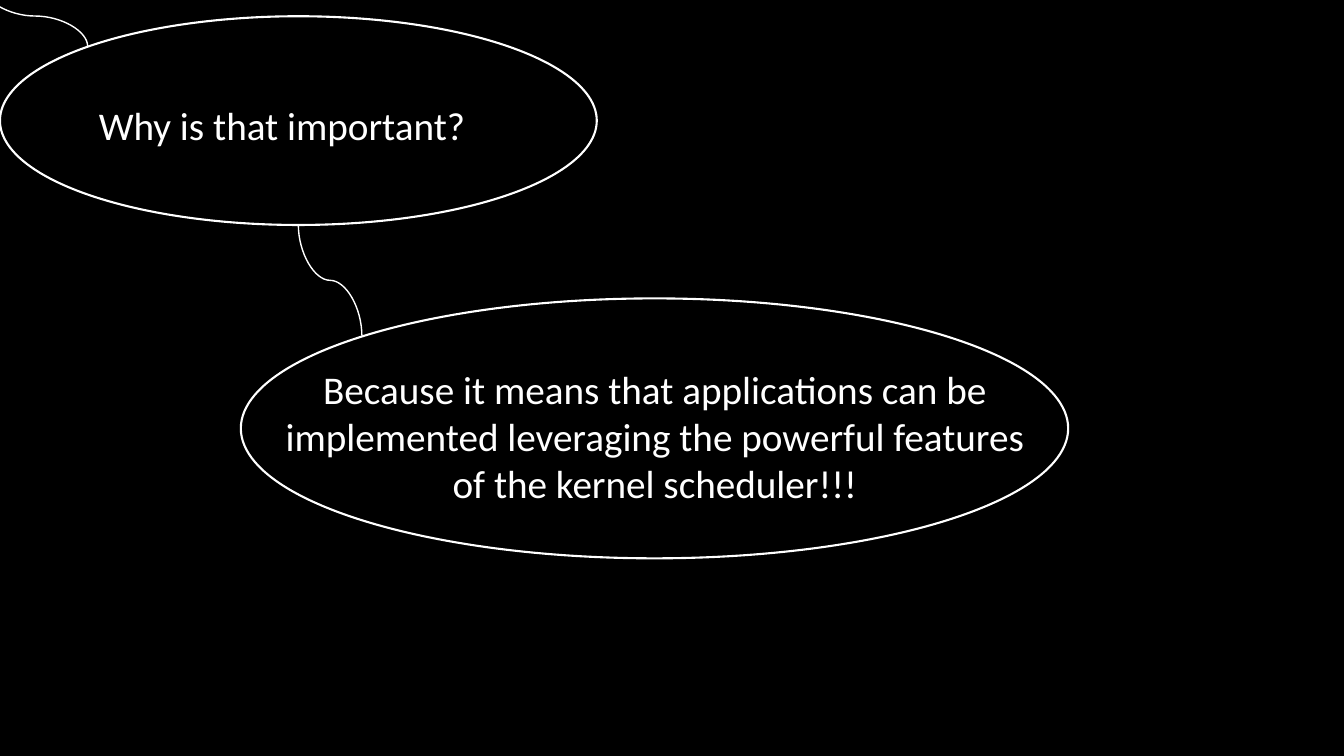
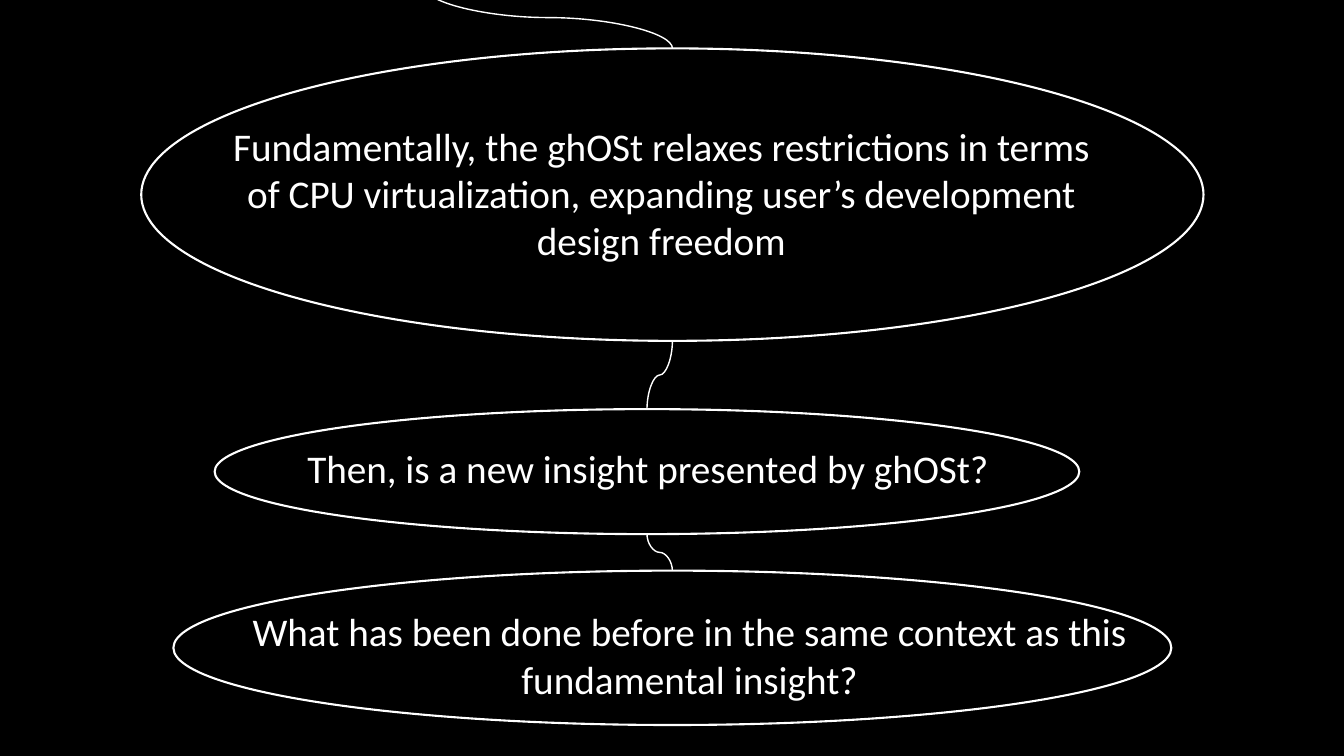
from dataclasses import dataclass

from lxml import etree
from pptx import Presentation
from pptx.dml.color import RGBColor
from pptx.enum.shapes import MSO_CONNECTOR, MSO_SHAPE
from pptx.enum.text import MSO_AUTO_SIZE, PP_ALIGN
from pptx.oxml.ns import qn
from pptx.util import Cm, Pt

OVAL = MSO_SHAPE.OVAL
CURVE = MSO_CONNECTOR.CURVE
CENTER = PP_ALIGN.CENTER
GROW = MSO_AUTO_SIZE.SHAPE_TO_FIT_TEXT


@dataclass(frozen=True)
class Theme:
    back: RGBColor = RGBColor(0x00, 0x00, 0x00)
    ink: RGBColor = RGBColor(0xFF, 0xFF, 0xFF)
    font: str = "Calibri"
    size: Pt = Pt(28)
    rim: Pt = Pt(1.5)
    thread: Pt = Pt(1)


class Deck:
    def __init__(self, theme):
        self.theme = theme
        self.prs = Presentation()
        self.prs.slide_width, self.prs.slide_height = Cm(33.87), Cm(19.05)
        fill = self.prs.slide_master.background.fill
        fill.solid()
        fill.fore_color.rgb = theme.back
        self.slide = None

    def page(self):
        self.slide = self.prs.slides.add_slide(self.prs.slide_layouts[6])

    def stroke(self, item, width):
        item.line.color.rgb = self.theme.ink
        item.line.width = width

    def text(self, words, left, top, width, height):
        box = self.slide.shapes.add_textbox(Cm(left), Cm(top), Cm(width), Cm(height))
        frame = box.text_frame
        frame.word_wrap = True
        frame.auto_size = GROW
        para = frame.paragraphs[0]
        para.text = words
        para.alignment = CENTER
        para.font.name = self.theme.font
        para.font.size = self.theme.size
        para.font.color.rgb = self.theme.ink

    def bubble(self, left, top, width, height):
        """Draw an outlined oval; return its top and bottom points."""
        oval = self.slide.shapes.add_shape(OVAL, Cm(left), Cm(top), Cm(width), Cm(height))
        oval.shadow.inherit = False
        oval.fill.background()
        self.stroke(oval, self.theme.rim)
        mid = left + width / 2
        return (mid, top), (mid, top + height)

    def thread(self, start, end):
        """Draw a curve that leaves and arrives vertically.

        The preset curve runs sideways, so it is laid out flat
        around the midpoint and then turned upright.
        """
        (x1, y1), (x2, y2) = start, end
        mid_x, mid_y = (x1 + x2) / 2, (y1 + y2) / 2
        half_w, half_h = (y2 - y1) / 2, abs(x2 - x1) / 2
        right = x2 > x1
        if right:
            half_w = -half_w
        line = self.slide.shapes.add_connector(
            CURVE, Cm(mid_x - half_w), Cm(mid_y - half_h),
            Cm(mid_x + half_w), Cm(mid_y + half_h))
        self.stroke(line, self.theme.thread)
        props = line.element.spPr
        turn = 270 if right else 90
        props.find(qn("a:xfrm")).set("rot", str(turn * 60000))
        etree.SubElement(props, qn("a:effectLst"))


def reason(deck):
    deck.page()
    deck.thread((-0.43, -0.36), (2.21, 1.17))
    low = deck.bubble(0, 0.41, 15.04, 5.26)[1]
    deck.bubble(6.07, 7.52, 20.85, 6.55)
    deck.thread(low, (9.12, 8.46))
    deck.text("Why is that important?", -2.13, 2.44, 18.47, 1.45)
    deck.text("Because it means that applications can be implemented leveraging "
              "the powerful features of the kernel scheduler!!!",
              6.48, 9.07, 20.04, 3.84)


def insight(deck):
    deck.page()
    last = (10.69, -0.33)
    steps = (
        ((3.56, 1.22, 26.77, 7.37), (5.26, 2.95, 22.81, 3.84),
         "Fundamentally, the ghOSt relaxes restrictions in terms of CPU "
         "virtualization, expanding user’s development design freedom"),
        ((5.41, 10.31, 21.79, 3.15), (5.03, 11.07, 22.81, 1.45),
         "Then, is a new insight presented by ghOSt? "),
        ((4.37, 14.38, 25.15, 3.89), (5.97, 15.19, 22.81, 2.64),
         "What has been done before in the same context as this "
         "fundamental insight?"),
    )
    for oval, box, words in steps:
        high, low = deck.bubble(*oval)
        deck.thread(last, high)
        deck.text(words, *box)
        last = low


def main():
    deck = Deck(Theme())
    reason(deck)
    insight(deck)
    deck.prs.save("out.pptx")


if __name__ == "__main__":
    main()
